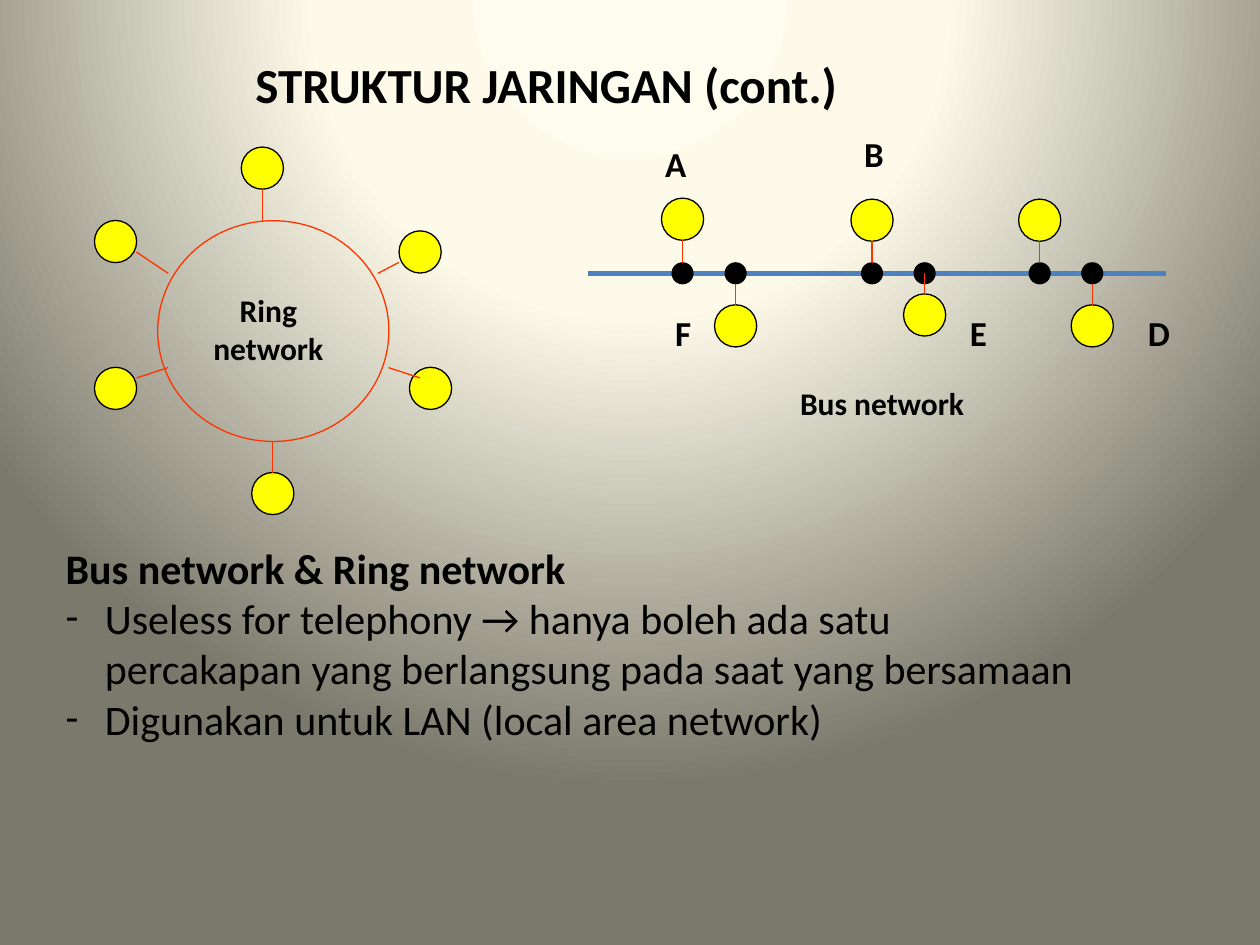
"""Build a slide comparing ring and bus network structures."""
from dataclasses import dataclass

from lxml.etree import SubElement
from pptx import Presentation
from pptx.dml.color import RGBColor
from pptx.enum.shapes import MSO_CONNECTOR, MSO_SHAPE
from pptx.enum.text import MSO_ANCHOR, MSO_AUTO_SIZE, PP_ALIGN
from pptx.oxml import parse_xml
from pptx.oxml.ns import nsdecls, qn
from pptx.util import Cm, Pt


@dataclass(frozen=True)
class Theme:
    font: str = "Calibri"
    ink: str = "000000"
    phone: str = "FFFF00"
    link: str = "FF3300"
    bus: str = "4F81BD"
    backdrop: tuple = ((0, "FEFCEE"), (40, "FDFAEA"), (100, "7B796B"))
    title_size: float = 28
    body_size: float = 24
    label_size: float = 20
    caption_size: float = 18
    thin: float = 0.75
    thick: float = 3


THEME = Theme()
TITLE = "STRUKTUR JARINGAN (cont.)"
HEADING = "Bus network & Ring network"
POINTS = [
    "Useless for telephony → hanya boleh ada satu\vpercakapan yang berlangsung pada saat yang bersamaan",
    "Digunakan untuk LAN (local area network)",
]
PHONE, DOT = 0.85, 0.42
RING = (3.18, 4.45, 4.66, 4.45)
RING_PHONES = [
    ((5.29, 3.39), (5.29, 3.81), (5.29, 4.45)),
    ((2.33, 4.87), (2.75, 5.08), (3.39, 5.51)),
    ((8.47, 5.08), (8.04, 5.29), (7.62, 5.51)),
    ((2.33, 7.83), (2.75, 7.62), (3.39, 7.41)),
    ((8.68, 7.83), (8.47, 7.62), (7.83, 7.41)),
    ((5.5, 9.95), (5.5, 9.53), (5.5, 8.89)),
]
BUS_START, BUS_END, BUS_Y = 11.86, 23.5, 5.51
BUS_PHONES = [
    (13.76, 4.42, 5.3), (17.58, 4.44, 5.3), (20.96, 4.44, 5.3),
    (14.83, 6.57, 5.72), (18.64, 6.35, BUS_Y), (22.02, 6.57, 5.72),
]
BUS_LABELS = [
    ("A", 13.16, 2.74), ("B", 17.17, 2.54), ("F", 13.36, 6.15),
    ("E", 19.3, 6.15), ("D", 22.89, 6.15),
]


def color(code):
    return RGBColor.from_string(code)


def place(box, left, top, width, height):
    box.left, box.top, box.width, box.height = map(Cm, (left, top, width, height))


def write(box, lines, *, size, bold=True, align=PP_ALIGN.LEFT, anchor=MSO_ANCHOR.TOP):
    frame = box.text_frame
    frame.word_wrap = True
    frame.auto_size = MSO_AUTO_SIZE.NONE
    frame.vertical_anchor = anchor
    frame.text = "\n".join(lines)
    for para in frame.paragraphs:
        para.alignment = align
        para.space_before = Pt(0)
        for span in para.runs:
            span.font.name, span.font.size, span.font.bold = THEME.font, Pt(size), bold
            span.font.color.rgb = color(THEME.ink)


def add_label(shapes, lines, area, **style):
    write(shapes.add_textbox(*map(Cm, area)), lines, **style)


def add_ellipse(shapes, area, *, fill=None, line=THEME.ink):
    oval = shapes.add_shape(MSO_SHAPE.OVAL, *map(Cm, area))
    oval.shadow.inherit = False
    oval.line.color.rgb = color(line)
    oval.line.width = Pt(THEME.thin)
    if fill:
        oval.fill.solid()
        oval.fill.fore_color.rgb = color(fill)
    else:
        oval.fill.background()


def add_disc(shapes, center, size, fill):
    x, y = center
    add_ellipse(shapes, (x - size / 2, y - size / 2, size, size), fill=fill)


def add_line(shapes, start, end, *, shade=THEME.link, width=THEME.thin):
    line = shapes.add_connector(MSO_CONNECTOR.STRAIGHT, *map(Cm, start + end))
    line.line.color.rgb = color(shade)
    line.line.width = Pt(width)
    SubElement(line._element.spPr, qn("a:effectLst"))


def paint_background(page):
    stops = "".join(
        f'<a:gs pos="{pos * 1000}"><a:srgbClr val="{code}"/></a:gs>'
        for pos, code in THEME.backdrop
    )
    page._element.cSld.insert(0, parse_xml(
        f'<p:bg {nsdecls("p", "a")}><p:bgPr><a:gradFill><a:gsLst>{stops}</a:gsLst>'
        '<a:path path="circle"><a:fillToRect l="50000" t="-80000" r="50000" b="180000"/>'
        '</a:path></a:gradFill><a:effectLst/></p:bgPr></p:bg>'
    ))


def draw_bus(shapes):
    add_line(shapes, (BUS_START, BUS_Y), (BUS_END, BUS_Y), shade=THEME.bus, width=THEME.thick)
    for x, y, tap in BUS_PHONES:
        edge = y + PHONE / 2 if y < BUS_Y else y - PHONE / 2
        add_disc(shapes, (x, y), PHONE, THEME.phone)
        add_disc(shapes, (x, BUS_Y), DOT, THEME.ink)
        add_line(shapes, (x, edge), (x, tap))
    for letter, left, top in BUS_LABELS:
        add_label(shapes, [letter], (left, top, 1.02, 1.1), size=THEME.label_size)
    add_label(shapes, ["Bus network"], (15.88, 7.62, 5.59, 1.27), size=THEME.caption_size)


def draw_ring(shapes):
    add_ellipse(shapes, RING, line=THEME.link)
    for center, start, end in RING_PHONES:
        add_disc(shapes, center, PHONE, THEME.phone)
        add_line(shapes, start, end)
    add_label(shapes, ["Ring", "network"], (3.53, 5.74, 3.76, 2.29),
              size=THEME.caption_size, align=PP_ALIGN.CENTER)


def fill_body(box):
    place(box, 1.07, 10.8, 23.29, 4.37)
    write(box, [HEADING, *POINTS], size=THEME.body_size, bold=False)
    heading, *points = box.text_frame.paragraphs
    heading.runs[0].font.bold = True
    for para, indent, bullet in [(heading, 0, None)] + [(para, 0.79, "-") for para in points]:
        props = para._p.get_or_add_pPr()
        props.set("marL", str(Cm(indent)))
        props.set("indent", str(-Cm(indent)))
        if bullet:
            SubElement(props, qn("a:buFont")).set("typeface", THEME.font)
            SubElement(props, qn("a:buChar")).set("char", bullet)
        else:
            SubElement(props, qn("a:buNone"))


def main():
    deck = Presentation()
    deck.slide_width, deck.slide_height = Cm(25.4), Cm(19.05)
    page = deck.slides.add_slide(deck.slide_layouts[1])
    paint_background(page)
    title, body = page.placeholders
    place(title, 3.07, 0.64, 15.88, 2.11)
    write(title, [TITLE], size=THEME.title_size, align=PP_ALIGN.CENTER, anchor=MSO_ANCHOR.MIDDLE)
    draw_bus(page.shapes.add_group_shape().shapes)
    draw_ring(page.shapes.add_group_shape().shapes)
    fill_body(body)
    deck.save("out.pptx")


if __name__ == "__main__":
    main()
